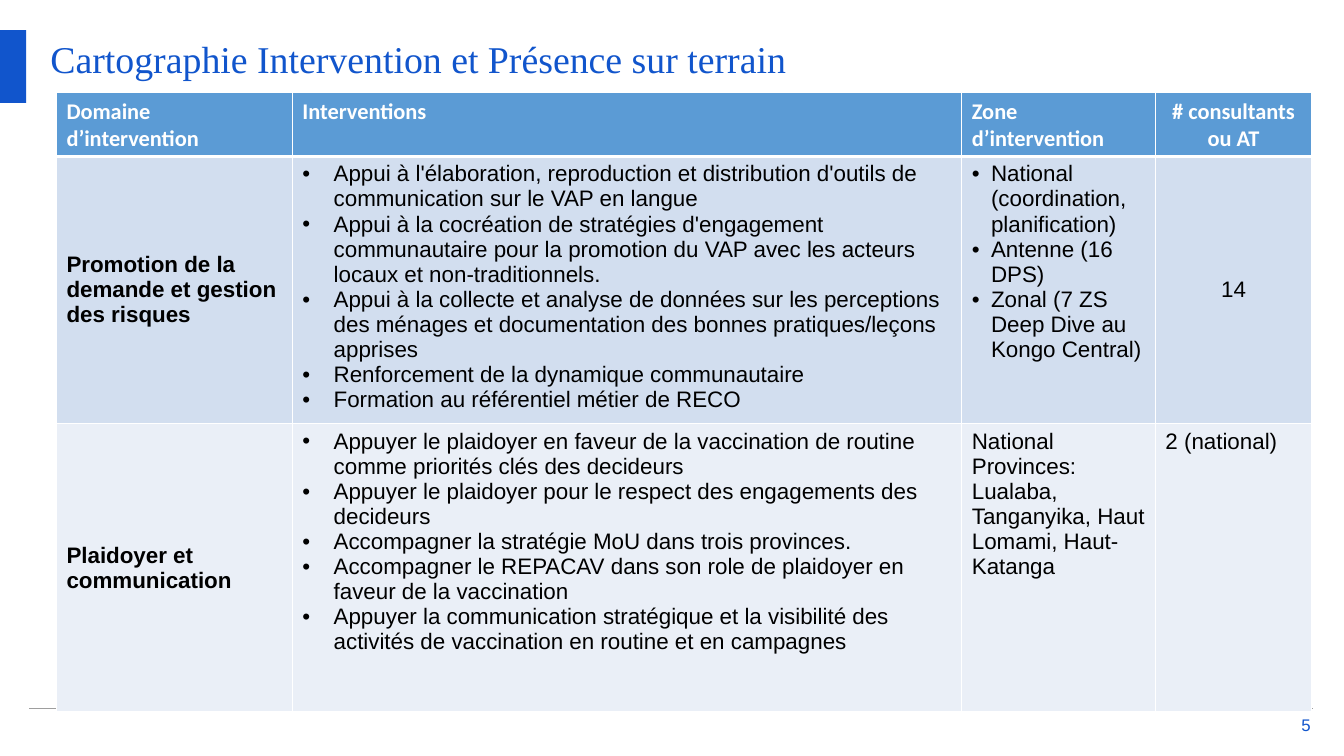
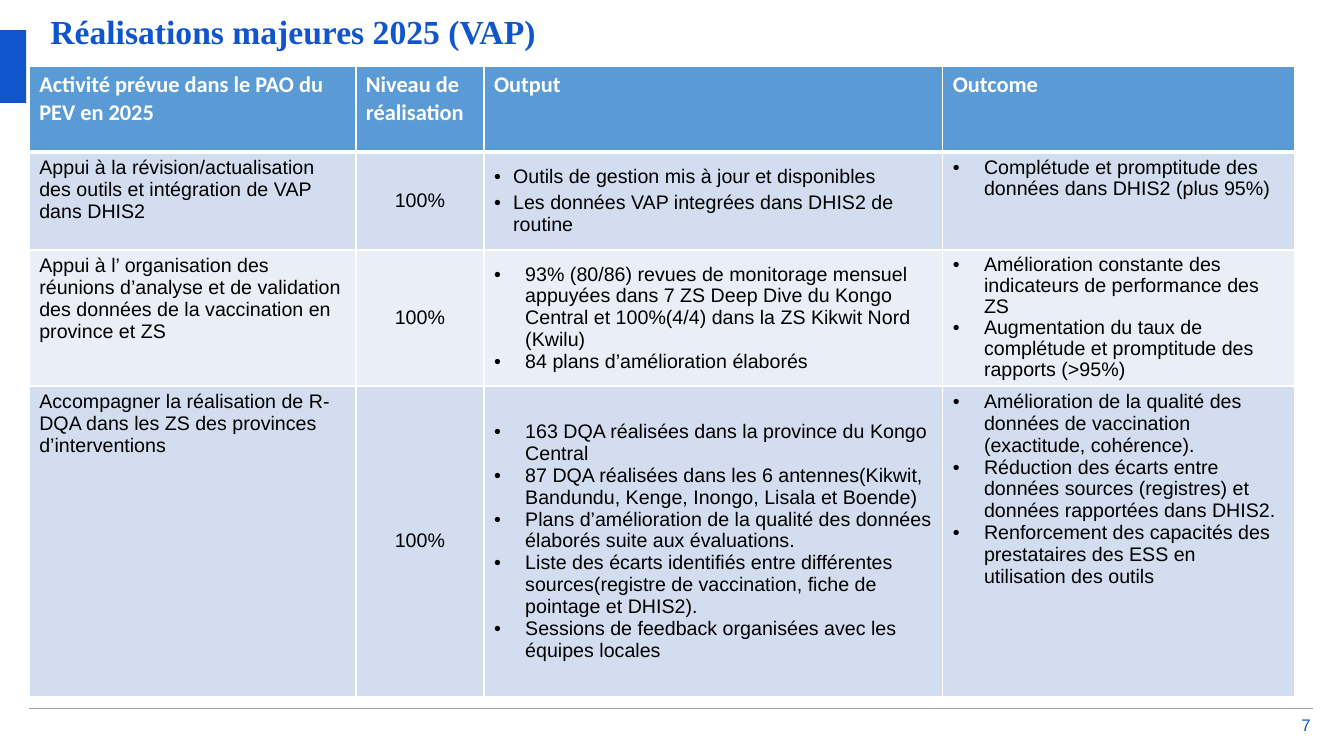
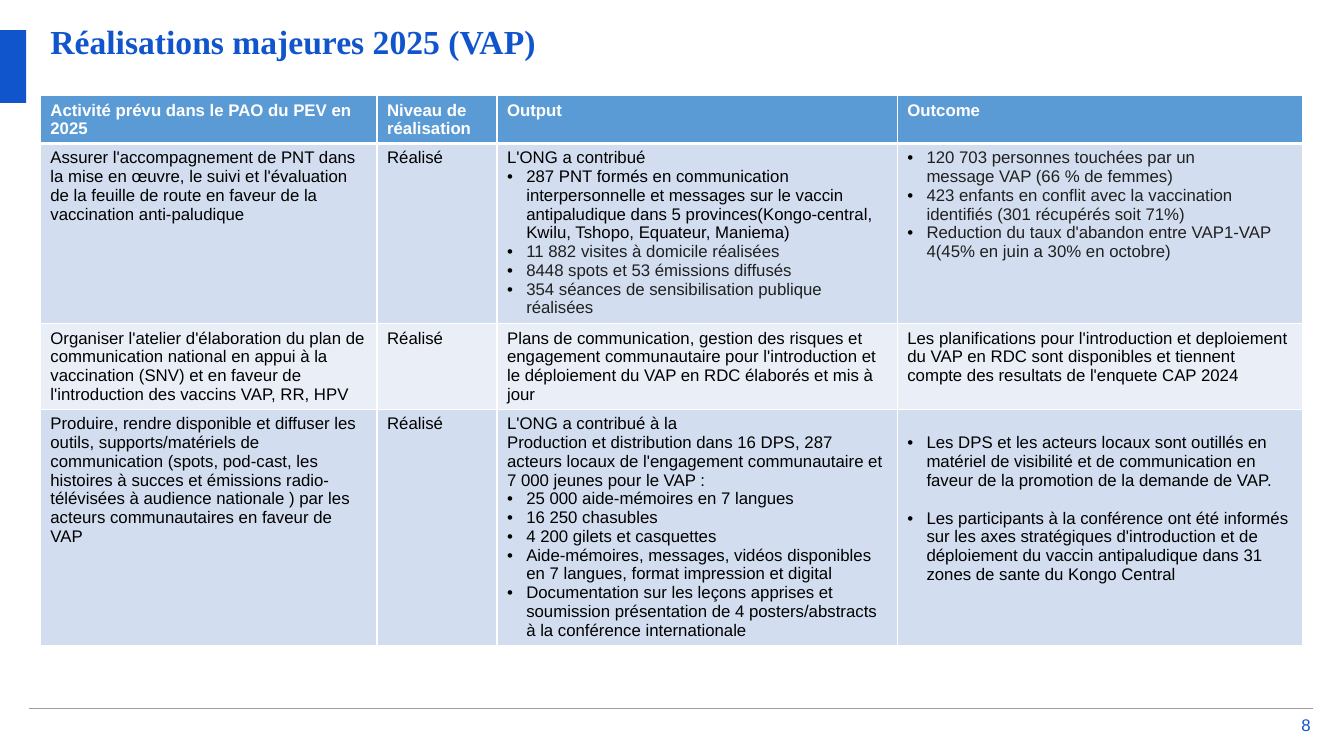
from lxml import etree
from pptx import Presentation
from pptx.dml.color import RGBColor
from pptx.enum import shapes, text
from pptx.oxml.ns import qn
from pptx.util import Inches, Pt

BLUE = RGBColor(0x11, 0x55, 0xCC)
RULE = RGBColor(0x9E, 0x9E, 0x9E)
HEAD = RGBColor(0x5B, 0x9B, 0xD5)
BANDS = RGBColor(0xD2, 0xDE, 0xEF), RGBColor(0xEA, 0xEF, 0xF7)
WHITE = RGBColor(0xFF, 0xFF, 0xFF)
BLACK = RGBColor(0, 0, 0)
GREY = RGBColor(0x20, 0x20, 0x20)

MID = text.MSO_ANCHOR.MIDDLE
CENTER = text.PP_ALIGN.CENTER
BULLET = "• "
TIE = chr(160)  # no-break space
# Line height per point of size; exact spacing keeps rows at their set height.
LEADS = {"Arial": 1.117}


def cell(*lines, **style):
    """Pair the paragraphs of a table cell with its style.

    Style keys: indent (inches), mid, align, bold, lead (line spacing, pt),
    gap (space between paragraphs, pt), top (margin, inches),
    grey (slice of the paragraphs in grey).
    """
    return lines, style


class Deck:
    def __init__(self):
        self.prs = Presentation()
        self.prs.slide_width = Inches(13.33)
        self.prs.slide_height = Inches(7.5)
        self.slide = None

    def page(self, number, title, top, size=24, bold=True):
        """Start a slide with its title, side band, footer rule and number."""
        self.slide = self.prs.slides.add_slide(self.prs.slide_layouts[6])
        self.label(title, (0.5, top, 12.33, 0.53),
                   {"name": "Times New Roman", "size": Pt(size), "bold": bold})
        self.band()
        self.label(str(number), (12.75, 7.1, 0.25, 0.18),
                   {"name": "Arial", "size": Pt(12)}, text.PP_ALIGN.RIGHT, MID)
        self.rule()

    def label(self, words, box, font, align=None, anchor=text.MSO_ANCHOR.TOP):
        frame = self.slide.shapes.add_textbox(*map(Inches, box)).text_frame
        for side in ("left", "top", "right", "bottom"):
            setattr(frame, f"margin_{side}", 0)
        frame.word_wrap = True
        frame.vertical_anchor = anchor
        para = frame.paragraphs[0]
        para.alignment = align
        self.run(para, words, BLUE, font)

    def band(self):
        box = map(Inches, (0, 0.3, 0.26, 0.72))
        shape = self.slide.shapes.add_shape(shapes.MSO_SHAPE.RECTANGLE, *box)
        shape.shadow.inherit = False
        shape.fill.solid()
        shape.fill.fore_color.rgb = BLUE
        shape.line.fill.background()

    def rule(self):
        ends = map(Inches, (0.29, 7.03, 13.02, 7.03))
        line = self.slide.shapes.add_connector(shapes.MSO_CONNECTOR.STRAIGHT, *ends)
        line.line.color.rgb = RULE
        line.line.width = Pt(1)
        etree.SubElement(line._element.spPr, qn("a:effectLst"))

    def run(self, para, words, color, font):
        run = para.add_run()
        run.text = words
        for key, value in font.items():
            setattr(run.font, key, value)
        run.font.color.rgb = color

    def bullet(self, para, indent):
        props = para._p.get_or_add_pPr()
        props.set("marL", str(Inches(indent)))
        props.set("indent", str(-Inches(indent)))
        ink = etree.SubElement(props, qn("a:buClr"))
        etree.SubElement(ink, qn("a:srgbClr"), val=str(BLACK))
        etree.SubElement(props, qn("a:buFont"), typeface="Arial")
        etree.SubElement(props, qn("a:buChar"), char=BULLET.strip())

    def edges(self, box, row):
        """Draw white borders, thick between the header and the body."""
        props = box._tc.get_or_add_tcPr()
        widths = {"L": 1, "R": 1, "T": 3 if row == 1 else 1, "B": 1 if row else 3}
        for place, (side, width) in enumerate(widths.items()):
            line = etree.Element(qn(f"a:ln{side}"), w=str(Pt(width)))
            fill = etree.SubElement(line, qn("a:solidFill"))
            etree.SubElement(fill, qn("a:srgbClr"), val=str(WHITE))
            props.insert(place, line)

    def fill(self, box, lines, color, font, indent=0.31, mid=False, align=None,
             bold=False, lead=None, gap=0, top=0.05, grey=slice(0)):
        box.margin_top = Inches(top)
        if mid:
            box.vertical_anchor = MID
        frame = box.text_frame
        pale = lines[grey]
        for i, words in enumerate(lines):
            para = frame.add_paragraph() if i else frame.paragraphs[0]
            para.alignment = align
            if lead:
                para.line_spacing = Pt(lead)
            if i and gap:
                para.space_before = Pt(gap)
            if words.startswith(BULLET):
                self.bullet(para, indent)
            self.run(para, words.removeprefix(BULLET),
                     GREY if words in pale else color, {**font, "bold": bold})

    def table(self, left, top, cols, rows, cells, size, head):
        """Add a table; head is the (name, size) of the header font."""
        box = map(Inches, (left, top, sum(cols), sum(rows)))
        table = self.slide.shapes.add_table(len(rows), len(cols), *box).table
        table.horz_banding = False
        for col, width in zip(table.columns, cols):
            col.width = Inches(width)
        for r, (row, height) in enumerate(zip(cells, rows)):
            table.rows[r].height = Inches(height)
            name, points = ("Arial", size) if r else head
            font = {"name": name, "size": Pt(points)}
            base = {"bold": not r, "lead": round(LEADS.get(name, 0) * points, 1)}
            for c, item in enumerate(row):
                lines, style = cell(item) if isinstance(item, str) else item
                spot = table.cell(r, c)
                spot.fill.solid()
                spot.fill.fore_color.rgb = BANDS[(r - 1) % 2] if r else HEAD
                self.edges(spot, r)
                self.fill(spot, lines, BLACK if r else WHITE, font, **{**base, **style})


def field(deck):
    deck.page(5, "Cartographie Intervention et Présence sur terrain", 0.35, 27, False)
    deck.table(0.56, 0.92, (2.34, 6.64, 1.92, 1.55), (0.61, 2.65, 2.86), [
        ["Domaine d’intervention", "Interventions", "Zone d’intervention",
         cell("# consultants ou AT", align=CENTER)],
        [cell("Promotion de la demande et gestion des risques", mid=True, bold=True),
         cell("• Appui à l'élaboration, reproduction et distribution d'outils de "
              "communication sur le VAP en langue",
              "• Appui à la cocréation de stratégies d'engagement communautaire pour "
              "la promotion du VAP avec les acteurs locaux et non-traditionnels.",
              "• Appui à la collecte et analyse de données sur les perceptions des "
              "ménages et documentation des bonnes pratiques/leçons apprises",
              "• Renforcement de la dynamique communautaire",
              "• Formation au référentiel métier de RECO"),
         cell("• National (coordination, planification)", "• Antenne (16 DPS)",
              "• Zonal (7 ZS Deep Dive au Kongo Central)", indent=0.19),
         cell("14", mid=True, align=CENTER)],
        [cell("Plaidoyer et communication", mid=True, bold=True),
         cell("• Appuyer le plaidoyer en faveur de la vaccination de routine comme "
              "priorités clés des decideurs",
              "• Appuyer le plaidoyer pour le respect des engagements des decideurs",
              "• Accompagner la stratégie MoU dans trois provinces.",
              "• Accompagner le REPACAV dans son role de plaidoyer en faveur de la "
              "vaccination",
              "• Appuyer la communication stratégique et la visibilité des activités "
              "de vaccination en routine et en campagnes"),
         cell("National", "Provinces: Lualaba, Tanganyika, Haut Lomami, Haut-Katanga"),
         "2 (national)"],
    ], 16, ("Calibri", 16))


def data(deck):
    full = cell("100%", mid=True, align=CENTER)
    deck.page(7, "Réalisations majeures 2025 (VAP)", 0.11)
    deck.table(0.29, 0.66, (3.24, 1.27, 4.55, 3.49), (0.85, 0.97, 1.35, 3.08), [
        ["Activité prévue dans le PAO du PEV en 2025", "Niveau de réalisation",
         "Output", "Outcome"],
        ["Appui à la révision/actualisation des outils et intégration de VAP dans DHIS2",
         full,
         cell("• Outils de gestion mis à jour et disponibles",
              "• Les données VAP integrées dans DHIS2 de routine",
              indent=0.19, mid=True, gap=3),
         cell("• Complétude et promptitude des données dans DHIS2 (plus 95%)", lead=15)],
        ["Appui à l’ organisation des réunions d’analyse et de validation des données "
         "de la vaccination en province et ZS",
         full,
         cell("• 93% (80/86) revues de monitorage mensuel appuyées dans 7 ZS Deep Dive "
              "du Kongo Central et 100%(4/4) dans la ZS Kikwit Nord (Kwilu)",
              "• 84 plans d’amélioration élaborés", mid=True),
         cell("• Amélioration constante des indicateurs de performance des ZS",
              "• Augmentation du taux de complétude et promptitude des rapports (>95%)",
              lead=15)],
        ["Accompagner la réalisation de R-DQA dans les ZS des provinces d’interventions",
         full,
         cell("• 163 DQA réalisées dans la province du Kongo Central",
              "• 87 DQA réalisées dans les 6 antennes(Kikwit, Bandundu, Kenge, Inongo, "
              "Lisala et Boende)",
              "• Plans d’amélioration de la qualité des données élaborés suite aux "
              "évaluations.",
              "• Liste des écarts identifiés entre différentes sources(registre de "
              "vaccination, fiche de pointage et DHIS2).",
              "• Sessions de feedback organisées avec les équipes locales", mid=True),
         cell("• Amélioration de la qualité des données de vaccination (exactitude, "
              "cohérence).",
              "• Réduction des écarts entre données sources (registres) et données "
              "rapportées dans DHIS2.",
              "• Renforcement des capacités des prestataires des ESS en "
              f"utilisation{TIE}des outils")],
    ], 14, ("Calibri", 16))


def reach(deck):
    deck.page(8, "Réalisations majeures 2025 (VAP)", 0.21)
    deck.table(0.4, 0.95, (3.34, 1.19, 3.97, 4.02), (0.47, 1.79, 0.85, 2.34), [
        ["Activité prévu dans le PAO du PEV en 2025", "Niveau de réalisation",
         "Output", "Outcome"],
        ["Assurer l'accompagnement de PNT dans la mise en œuvre, le suivi et "
         "l'évaluation de la feuille de route en faveur de la vaccination anti-paludique",
         "Réalisé",
         cell("L'ONG a contribué",
              "• 287 PNT formés en communication interpersonnelle et messages sur le "
              "vaccin antipaludique dans 5 provinces(Kongo-central, Kwilu, Tshopo, "
              "Equateur, Maniema)",
              "• 11 882 visites à domicile réalisées",
              "• 8448 spots et 53 émissions diffusés",
              "• 354 séances de sensibilisation publique réalisées",
              indent=0.19, grey=slice(2, None)),
         cell("• 120 703 personnes touchées par un "
              f"message{TIE}VAP (66 % de femmes)",
              "• 423 enfants en conflit avec la vaccination identifiés (301 récupérés "
              "soit 71%)",
              "• Reduction du taux d'abandon entre VAP1-VAP 4(45% en juin a 30% en "
              "octobre)", indent=0.19, grey=slice(None))],
        ["Organiser l'atelier d'élaboration du plan de communication national en appui "
         "à la vaccination (SNV) et en faveur de l'introduction des vaccins VAP, RR, HPV",
         "Réalisé",
         "Plans de communication, gestion des risques et engagement communautaire pour "
         "l'introduction et le déploiement du VAP en RDC élaborés et mis à jour",
         "Les planifications pour l'introduction et deploiement du VAP en RDC sont "
         "disponibles et tiennent compte des resultats de l'enquete CAP 2024"],
        ["Produire, rendre disponible et diffuser les outils, supports/matériels de "
         "communication (spots, pod-cast, les histoires à succes et émissions "
         "radio-télévisées à audience nationale ) par les acteurs communautaires en "
         "faveur de VAP",
         "Réalisé",
         cell("L'ONG a contribué à la",
              "Production et distribution dans 16 DPS, 287 acteurs locaux de "
              "l'engagement communautaire et 7 000 jeunes pour le VAP :",
              "• 25 000 aide-mémoires en 7 langues",
              "• 16 250 chasubles",
              "• 4 200 gilets et casquettes",
              "• Aide-mémoires, messages, vidéos disponibles en 7 langues, format "
              "impression et digital",
              "• Documentation sur les leçons apprises et soumission présentation de "
              "4 posters/abstracts à la conférence internationale", indent=0.19),
         cell("• Les DPS et les acteurs locaux sont outillés en matériel de visibilité "
              "et de communication en faveur de la promotion de la demande de VAP.",
              "• Les participants à la conférence ont été informés sur les axes "
              "stratégiques d'introduction et de déploiement du vaccin antipaludique "
              "dans 31 zones de sante du Kongo Central",
              indent=0.19, top=0.24, gap=13.5)],
    ], 12, ("Arial", 12))


def main():
    deck = Deck()
    for build in (field, data, reach):
        build(deck)
    deck.prs.save("out.pptx")


if __name__ == "__main__":
    main()
